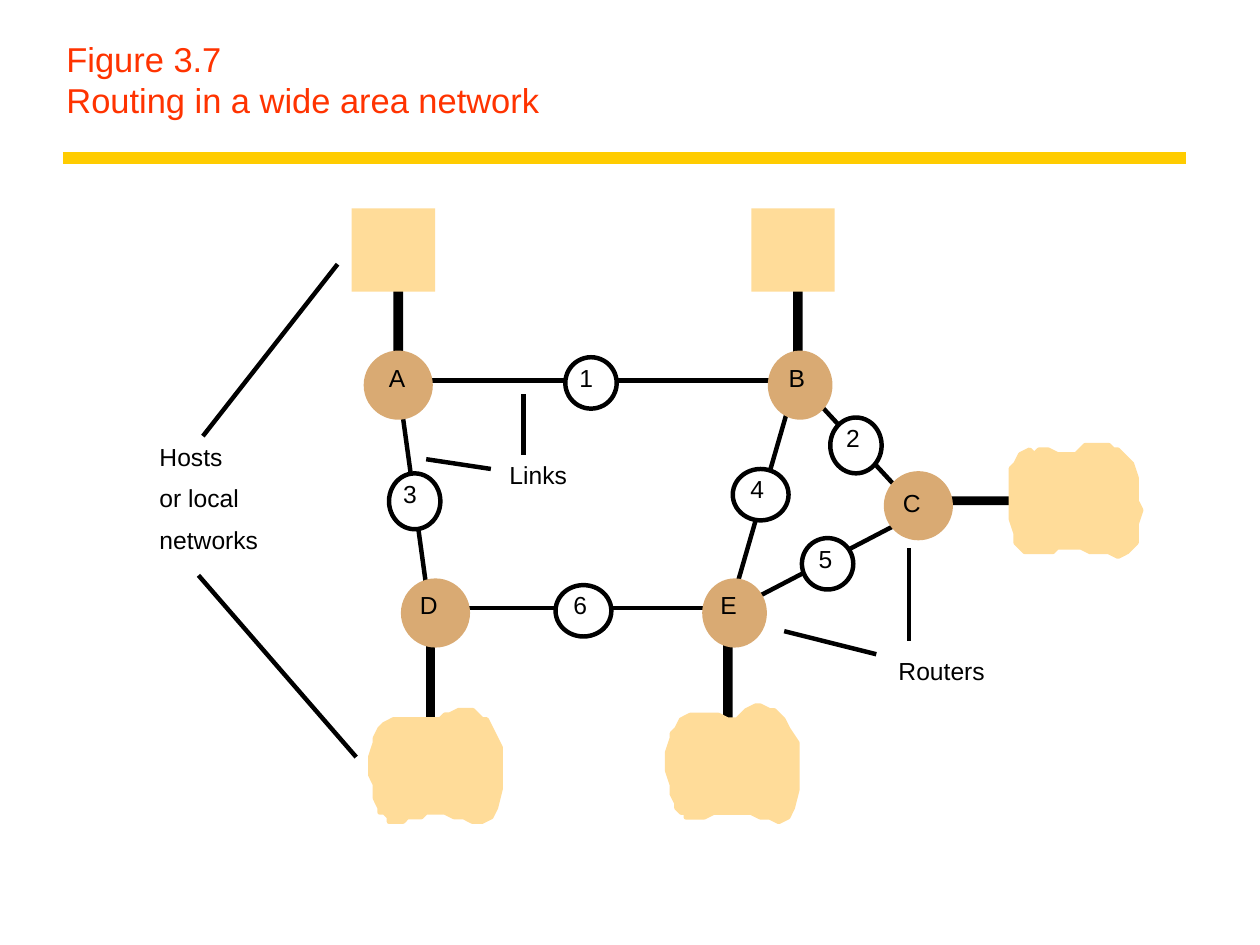
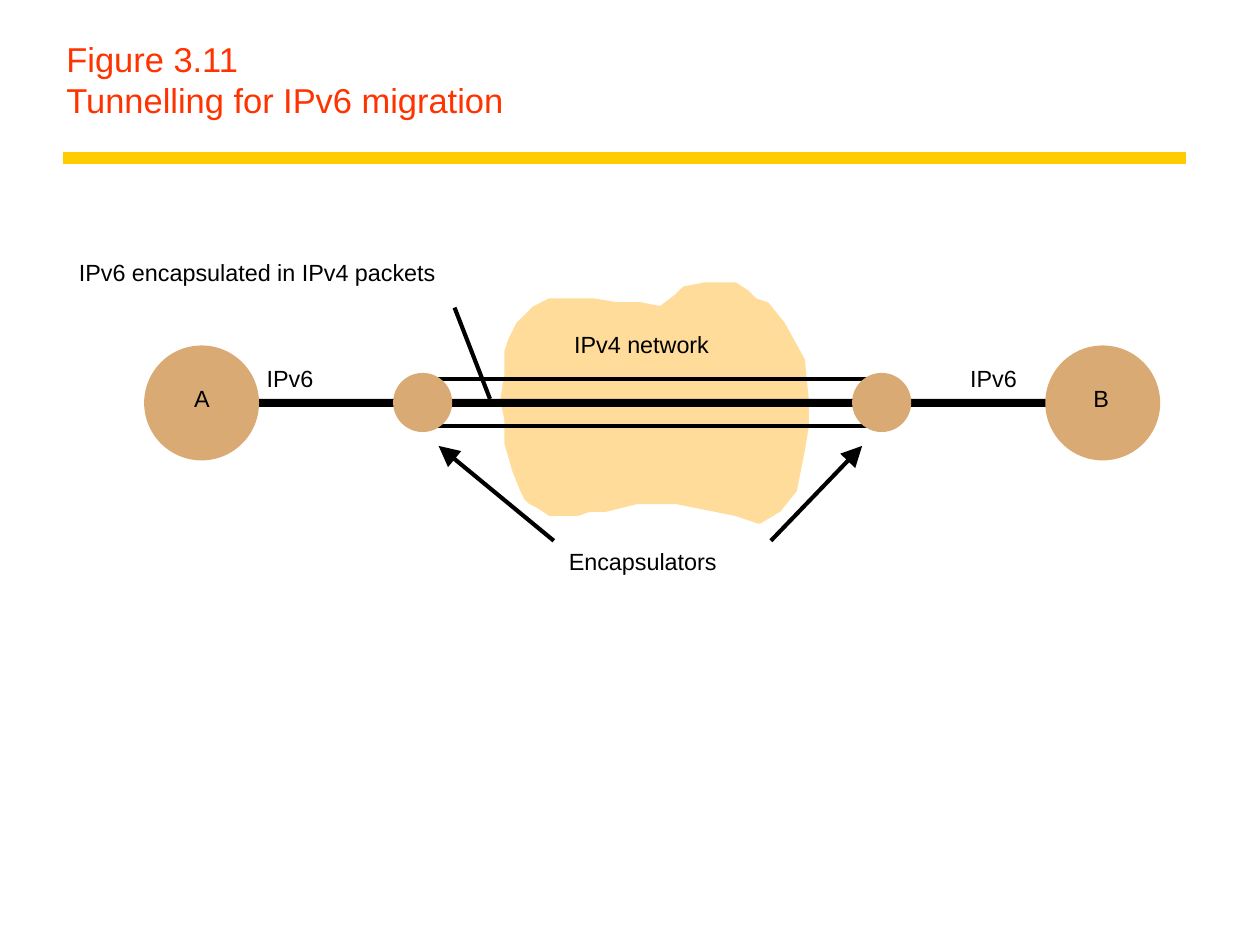
from typing import NamedTuple

from lxml import etree
from pptx import Presentation
from pptx.dml.color import RGBColor
from pptx.enum.shapes import MSO_CONNECTOR, MSO_SHAPE
from pptx.enum.text import MSO_ANCHOR
from pptx.oxml.ns import qn
from pptx.util import Emu, Inches, Pt

RECT, OVAL = MSO_SHAPE.RECTANGLE, MSO_SHAPE.OVAL
STRAIGHT = MSO_CONNECTOR.STRAIGHT
TOP, BOTTOM = MSO_ANCHOR.TOP, MSO_ANCHOR.BOTTOM

# Grid: square cells of a tenth of an inch, 142.2 columns by 106.6 rows
CELL = Inches(0.1)
COLS, ROWS = 142.2, 106.6

FONT = "Arial"
COLORS = {
    "title": "FF3300",
    "band": "FFCC00",
    "ink": "000000",
    "paper": "FFFFFF",
    "node": "D9AA73",
    "network": "FFDC99",
}


class Box(NamedTuple):
    x: float
    y: float
    w: float
    h: float


class Line(NamedTuple):
    x1: float
    y1: float
    x2: float
    y2: float


class Node(NamedTuple):
    label: str
    box: Box
    dx: float  # label offset from the corner of the box
    dy: float


class Cloud(NamedTuple):
    x: float
    y: float
    step: float  # cells per outline unit
    points: list[tuple[int, int]]


def grid(n: float) -> Emu:
    return Emu(round(n * CELL))


def color(name: str) -> RGBColor:
    return RGBColor.from_string(COLORS[name])


def paint(sp, fill: str, line: str | None = None, weight: float = 0) -> None:
    sp.shadow.inherit = False
    sp.fill.solid()
    sp.fill.fore_color.rgb = color(fill)
    if line:
        sp.line.color.rgb = color(line)
        sp.line.width = Pt(weight)
    else:
        sp.line.fill.background()


def add_shape(s, kind, box: Box, fill: str, line: str | None = None,
              weight: float = 0) -> None:
    paint(s.shapes.add_shape(kind, *map(grid, box)), fill, line, weight)


def add_cloud(s, cloud: Cloud, weight: float) -> None:
    pen = s.shapes.build_freeform(*cloud.points[0], scale=cloud.step * CELL)
    pen.add_line_segments(cloud.points[1:], close=True)
    sp = pen.convert_to_shape(grid(cloud.x), grid(cloud.y))
    paint(sp, "network", "network", weight)


def add_line(s, line: Line, weight: float, ink: str = "ink",
             arrow: bool = False) -> None:
    cx = s.shapes.add_connector(STRAIGHT, *map(grid, line))
    cx.line.color.rgb = color(ink)
    cx.line.width = Pt(weight)
    if arrow:
        etree.SubElement(cx.line._get_or_add_ln(), qn("a:tailEnd"),
                         type="triangle", w="lg", len="lg")
    etree.SubElement(cx._element.spPr, qn("a:effectLst"))


def add_text(s, text: str, box: Box, *, size: float, ink: str = "ink",
             anchor=TOP, inset: tuple[float, float] = (0, 0)) -> None:
    tf = s.shapes.add_textbox(*map(grid, box)).text_frame
    tf.word_wrap = True
    tf.vertical_anchor = anchor
    tf.margin_left = tf.margin_right = grid(inset[0])
    tf.margin_top = tf.margin_bottom = grid(inset[1])
    p = tf.paragraphs[0]
    p.text = text  # "\v" is a line break
    p.font.name = FONT
    p.font.size = Pt(size)
    p.font.color.rgb = color(ink)
    for r in p.runs:
        r.font.name = FONT
        r.font.size = Pt(size)
        r.font.color.rgb = color(ink)


def add_slide(prs, title: str):
    """Blank slide with the shared title and band."""
    s = prs.slides.add_slide(prs.slide_layouts[6])
    s.background.fill.solid()
    s.background.fill.fore_color.rgb = color("paper")
    add_line(s, Line(7.1, 17.8, 133.9, 17.8), 10, "band")
    add_text(s, title, Box(6.3, 0, 127.6, 14.2), size=28, ink="title",
             anchor=BOTTOM, inset=(1.2, 0.6))
    return s


# Figure 3.7
LINKS = [
    Line(48.6, 69.7, 44.9, 42.9), Line(44.4, 42.9, 90, 42.9),
    Line(90, 42.9, 103.6, 57.6), Line(48.1, 68.6, 82.7, 68.6),
    Line(90, 42.4, 82.1, 69.7), Line(82.1, 69.1, 104.2, 57.6),
]
STEMS = [
    Box(48.1, 69.1, 1, 16.3), Box(81.6, 68.6, 1.1, 15.2),
    Box(44.4, 31.9, 1.1, 9.4), Box(89.5, 29.8, 1.1, 12.1),
    Box(103.6, 56, 11.5, 1),
]
POINTERS = [
    Line(22.9, 49.2, 38.1, 29.8), Line(22.4, 64.9, 40.2, 85.4),  # hosts
    Line(98.9, 73.8, 88.5, 71.2), Line(102.6, 72.3, 102.6, 61.8),  # routers
    Line(55.4, 52.9, 48.1, 51.8), Line(59.1, 51.3, 59.1, 44.5),  # links
]
HOSTS = [Box(x, 23.5, 9.4, 9.4) for x in (39.7, 84.8)]
ROUTERS = [
    Node("A", Box(41.3, 39.8, 7.3, 7.3), 2.6, 1.1),
    Node("B", Box(86.9, 39.8, 6.8, 7.3), 2.1, 1.1),
    Node("C", Box(100, 53.4, 7.3, 7.3), 1.9, 1.6),
    Node("D", Box(45.5, 65.5, 7.3, 7.3), 1.9, 1),
    Node("E", Box(79.5, 65.5, 6.8, 7.3), 1.8, 1),
]
LINK_NUMBERS = [
    Node("1", Box(63.8, 40.3, 5.8, 5.8), 1.6, 0.6),
    Node("2", Box(93.7, 47.1, 5.8, 6.3), 1.8, 0.6),
    Node("3", Box(43.9, 53.4, 5.8, 6.3), 1.6, 0.6),
    Node("4", Box(82.7, 52.9, 6.3, 5.8), 2, 0.5),
    Node("5", Box(90.5, 60.7, 5.8, 5.8), 1.9, 0.6),
    Node("6", Box(62.7, 66, 6.3, 5.8), 2, 0.5),
]
LOCAL_NETWORKS = [
    Cloud(41.8, 80.1, 0.525, [
        (1, 6), (2, 4), (3, 3), (5, 2), (15, 2), (16, 1), (17, 1), (19, 0),
        (22, 0), (23, 1), (24, 2), (25, 2), (26, 4), (28, 8), (28, 17),
        (27, 21), (26, 23), (24, 24), (22, 24), (20, 23), (18, 23), (16, 22),
        (12, 22), (11, 23), (8, 23), (7, 24), (4, 24), (4, 23), (3, 22),
        (2, 22), (2, 21), (1, 19), (1, 16), (0, 14), (0, 10), (1, 7)]),
    Cloud(114.1, 50.2, 0.525, [
        (0, 5), (1, 4), (2, 2), (4, 1), (5, 2), (6, 1), (8, 1), (10, 2),
        (14, 2), (15, 1), (16, 0), (21, 0), (22, 1), (23, 1), (24, 2),
        (26, 4), (27, 7), (27, 12), (28, 14), (27, 17), (27, 21), (25, 23),
        (23, 24), (21, 23), (17, 23), (15, 22), (10, 22), (9, 23), (3, 23),
        (2, 22), (1, 21), (1, 19), (0, 16)]),
    Cloud(75.3, 79.6, 0.525, [
        (1, 6), (2, 5), (3, 3), (5, 2), (11, 2), (13, 3), (15, 3), (16, 2),
        (17, 1), (19, 0), (20, 0), (22, 1), (23, 1), (24, 2), (25, 3),
        (26, 5), (28, 8), (28, 18), (27, 22), (26, 24), (24, 25), (22, 24),
        (20, 24), (18, 23), (10, 23), (8, 24), (4, 24), (4, 23), (3, 23),
        (2, 22), (2, 21), (1, 19), (1, 17), (0, 14), (0, 10), (1, 7)]),
]


def add_node(s, node: Node, fill: str, line: str, weight: float,
             size: float) -> None:
    add_shape(s, OVAL, node.box, fill, line, weight)
    add_text(s, node.label, Box(node.box.x + node.dx, node.box.y + node.dy,
                                3.3, 4.7), size=size)


def routing_slide(prs) -> None:
    s = add_slide(prs, "Figure 3.7\vRouting in a wide area network")
    weight, size = 3.63, 20
    for line in LINKS:
        add_line(s, line, weight)
    for stem in STEMS:
        add_shape(s, RECT, stem, "ink")
    for line in POINTERS:
        add_line(s, line, weight)
    for host in HOSTS:
        add_shape(s, RECT, host, "network")
    for cloud in LOCAL_NETWORKS:
        add_cloud(s, cloud, weight)
    for router in ROUTERS:
        add_node(s, router, "node", "node", weight, size)
    for number in LINK_NUMBERS:
        add_node(s, number, "paper", "ink", weight, size)
    # Captions
    for i, text in enumerate(("Hosts", "or local", "networks")):
        add_text(s, text, Box(18, 49.8 + 4.7 * i, 17.2, 4.7), size=size)
    add_text(s, "Links", Box(57.5, 51.9, 10.1, 4.7), size=size)
    add_text(s, "Routers", Box(101.4, 74, 15.1, 4.7), size=size)


# Figure 3.11
IPV4_NETWORK = Cloud(56.7, 32.1, 0.446, [
    (2, 14), (4, 10), (8, 6), (12, 4), (23, 4), (29, 5), (35, 5), (40, 6),
    (44, 3), (46, 1), (51, 0), (59, 0), (62, 2), (64, 4), (67, 5), (71, 10),
    (76, 19), (77, 29), (77, 36), (76, 42), (74, 52), (70, 57), (65, 60),
    (59, 58), (54, 57), (44, 55), (34, 55), (30, 56), (26, 57), (22, 57),
    (19, 58), (12, 58), (9, 56), (7, 55), (6, 54), (5, 52), (3, 47), (1, 40),
    (1, 34), (0, 29), (1, 23), (1, 17)])
END_HOSTS = [
    Node("A", Box(16.5, 39.2, 12.5, 12.5), 5.4, 4.1),
    Node("B", Box(118.2, 39.2, 12.5, 12.5), 5.2, 4.1),
]
ENCAPSULATORS = [Box(x, 42.3, 6.2, 6.2) for x in (44.6, 96.4)]
ARROWS = [Line(62.5, 61, 49.5, 50.3), Line(87, 61, 97.3, 50.3)]
TUNNEL_LABELS = [
    ("IPv6", Box(30.1, 41.1, 7.5, 4)),
    ("IPv6", Box(109.5, 41.1, 7.5, 4)),
    ("IPv6 encapsulated in IPv4 packets", Box(8.9, 29.1, 56.2, 4)),
    ("Encapsulators", Box(64.2, 61.7, 23.4, 4)),
    ("IPv4 network", Box(64.8, 37.2, 21.4, 4)),
]


def tunnelling_slide(prs) -> None:
    s = add_slide(prs, "Figure 3.11\vTunnelling for IPv6 migration")
    weight, size = 3.37, 19
    add_cloud(s, IPV4_NETWORK, weight)
    # Tunnel walls and the path through them
    for y in (42.8, 48.1):
        add_line(s, Line(48.2, y, 100, y), weight)
    add_shape(s, RECT, Box(25.9, 45, 96.8, 0.9), "ink")
    for host in END_HOSTS:
        add_node(s, host, "node", "node", weight, size)
    for box in ENCAPSULATORS:
        add_shape(s, OVAL, box, "node", "node", weight)
    # Pointers and captions
    add_line(s, Line(51.3, 34.7, 55.3, 45), weight)
    for arrow in ARROWS:
        add_line(s, arrow, weight, arrow=True)
    for text, box in TUNNEL_LABELS:
        add_text(s, text, box, size=size)


def main() -> None:
    prs = Presentation()
    prs.slide_width, prs.slide_height = grid(COLS), grid(ROWS)
    routing_slide(prs)
    tunnelling_slide(prs)
    prs.save("out.pptx")


if __name__ == "__main__":
    main()
